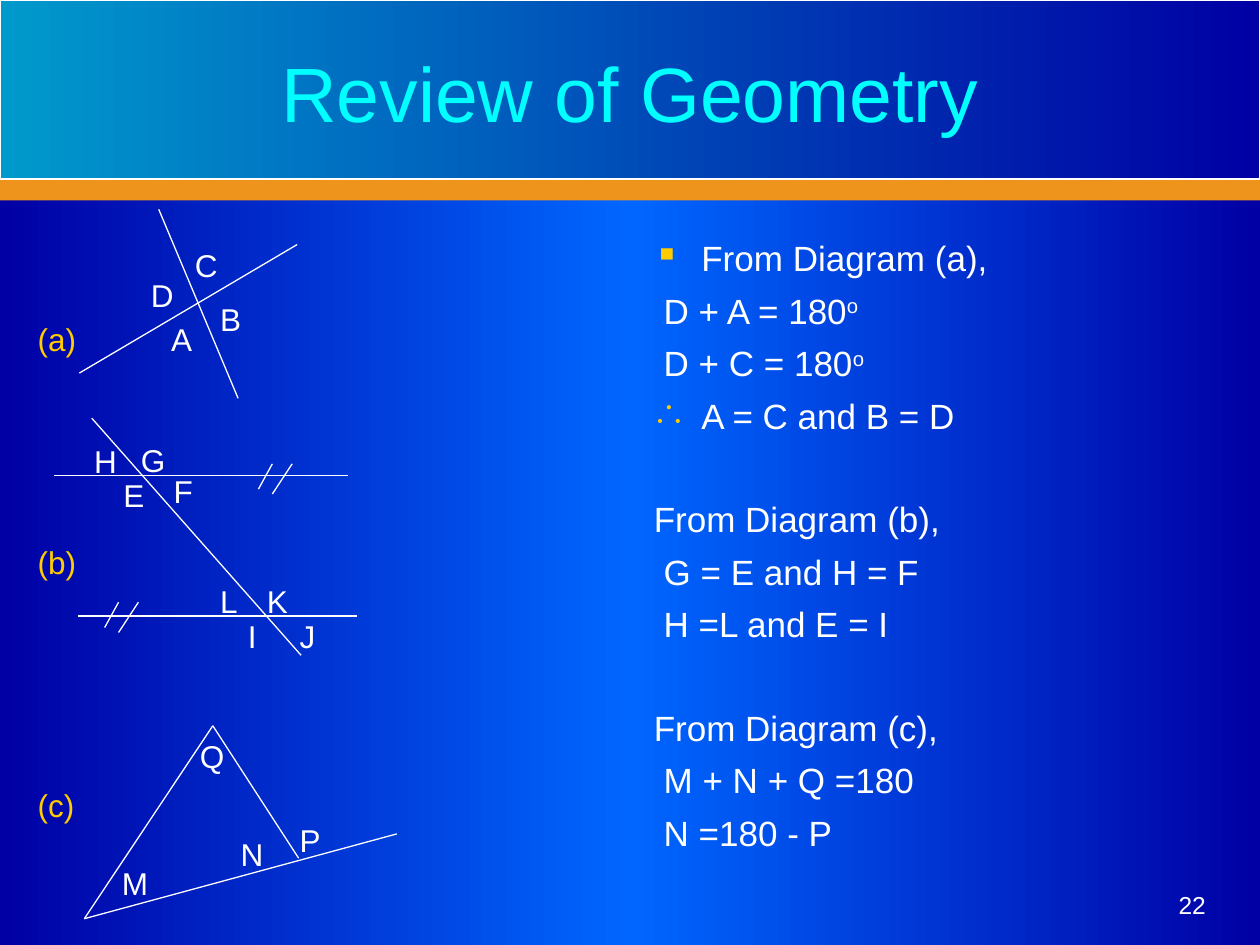
from copy import deepcopy

from lxml import etree
from pptx import Presentation
from pptx import util as u
from pptx.dml.color import RGBColor
from pptx.enum import shapes, text
from pptx.oxml import ns

WHITE, GOLD, CYAN, NAVY = "FFFFFF", "FFCC00", "00FFFF", "0000A4"


def color(value):
    return RGBColor.from_string(value)


def add_text(parent, words, place, size, ink, align=text.PP_ALIGN.LEFT, anchor=text.MSO_ANCHOR.TOP):
    box = parent.add_textbox(*map(u.Cm, place))
    frame = box.text_frame
    frame.word_wrap = True
    frame.vertical_anchor = anchor
    frame.text = words
    for para in frame.paragraphs:
        para.alignment = align
        for span in para.runs:
            span.font.name = "Arial"
            span.font.size = u.Pt(size)
            span.font.color.rgb = color(ink)
    return box


deck = Presentation()
deck.slide_width, deck.slide_height = u.Cm(25.4), u.Cm(19.05)
page = deck.slides.add_slide(deck.slide_layouts[6])

backdrop = page.background.fill
backdrop.gradient()
backdrop.gradient_angle = 0
stop_list = page.background._cSld.find(".//" + ns.qn("a:gsLst"))
stop_list.append(deepcopy(stop_list[0]))
for stop, position, tint in zip(backdrop.gradient_stops, (0, 0.5, 1), (NAVY, "0066FF", NAVY)):
    stop.position = position
    stop.color.rgb = color(tint)

stripe = page.shapes.add_shape(shapes.MSO_SHAPE.RECTANGLE, 0, u.Cm(3.61), deck.slide_width, u.Cm(0.43))
stripe.fill.solid()
stripe.fill.fore_color.rgb = color("EE941C")
stripe.line.fill.background()

header = page.shapes.add_shape(shapes.MSO_SHAPE.RECTANGLE, 0, 0, deck.slide_width, u.Cm(3.61))
header.fill.gradient()
header.fill.gradient_angle = 0
for stop, position, tint in zip(header.fill.gradient_stops, (0, 1), ("0099CC", NAVY)):
    stop.position = position
    stop.color.rgb = color(tint)
header.line.color.rgb = color(WHITE)
header.line.width = u.Pt(0.75)
for band in (stripe, header):
    band.shadow.inherit = False

add_text(page.shapes, "Review of Geometry", (0.64, 0, 24.13, 3.68), 44, CYAN,
         text.PP_ALIGN.CENTER, text.MSO_ANCHOR.MIDDLE)

statements = [
    ("From Diagram (a),", "▪"),
    ("D + A = 180o", None),
    ("D + C = 180o", None),
    ("A = C and B = D", "∴"),
    ("From Diagram (b),", None),
    ("G = E and H = F", None),
    ("H =L and E = I", None),
    ("From Diagram (c),", None),
    ("M + N + Q =180", None),
    ("N =180 - P", None),
]
body = add_text(page.shapes, "\n".join(words for words, _ in statements),
                (12.93, 4.65, 11.68, 12.98), 20, WHITE)
for index, (para, (words, bullet)) in enumerate(zip(body.text_frame.paragraphs, statements)):
    heading = words.startswith("From")
    if index:
        para.space_before = u.Pt(35 if heading else 6)
    properties = para._p.get_or_add_pPr()
    if bullet:
        properties.set("marL", str(u.Cm(0.96)))
        properties.set("indent", str(-u.Cm(0.96)))
        bullet_color = etree.SubElement(properties, ns.qn("a:buClr"))
        etree.SubElement(bullet_color, ns.qn("a:srgbClr"), val=GOLD)
        etree.SubElement(properties, ns.qn("a:buChar"), char=bullet)
    elif not heading:
        properties.set("marL", str(u.Cm(0.2)))
    if words.endswith("180o"):
        span = para.runs[0]
        span.text = words[:-1]
        degree = deepcopy(span._r)
        span._r.addnext(degree)
        para.runs[1].text = "o"
        para.runs[1].font._element.set("baseline", "30000")

parallel_marks = []
for x, y in ((5.49, 9.35), (2.39, 12.14)):
    parallel_marks += [(x, y, x - 0.28, y + 0.51), (x + 0.4, y, x, y + 0.61)]

diagrams = [
    ("(a)", 6.32, 1.1,
     [(3.2, 4.22, 4.8, 8.03), (1.6, 7.52, 5.99, 4.93)],
     [("A", 3.2, 6.32), ("B", 4.19, 5.92), ("C", 3.68, 4.83), ("D", 2.79, 5.44)]),
    ("(b)", 10.82, 1.04,
     [(1.09, 9.58, 7.01, 9.58), (1.57, 12.42, 7.19, 12.42), (1.85, 8.43, 6.07, 13.21)] + parallel_marks,
     [("E", 2.24, 9.47), ("F", 3.25, 9.4), ("G", 2.59, 8.76), ("H", 1.65, 8.79),
      ("I", 4.75, 12.32), ("J", 5.79, 12.32), ("K", 5.13, 11.61), ("L", 4.19, 11.61)]),
    ("(c)", 15.72, 1.3,
     [(4.29, 14.63, 1.7, 18.52), (4.29, 14.63, 6.02, 17.3), (1.7, 18.52, 8, 16.81)],
     [("M", 2.21, 17.3), ("N", 4.6, 16.71), ("P", 5.79, 16.43), ("Q", 3.78, 14.73)]),
]
for caption, caption_top, label_width, lines, labels in diagrams:
    add_text(page.shapes, caption, (0.51, caption_top, 1.3, 1.02), 18, GOLD)
    group = page.shapes.add_group_shape()
    for ends in lines:
        line = group.shapes.add_connector(shapes.MSO_CONNECTOR.STRAIGHT, *map(u.Cm, ends))
        line.line.color.rgb = color(WHITE)
        line.line.width = u.Pt(0.75)
        etree.SubElement(line._element.spPr, ns.qn("a:effectLst"))
    for letter, left, top in labels:
        add_text(group.shapes, letter, (left, top, label_width, 1.02), 18, WHITE)

add_text(page.shapes, "22", (18.21, 17.35, 6.35, 1.32), 14, WHITE,
         text.PP_ALIGN.RIGHT, text.MSO_ANCHOR.BOTTOM)

deck.save("out.pptx")
